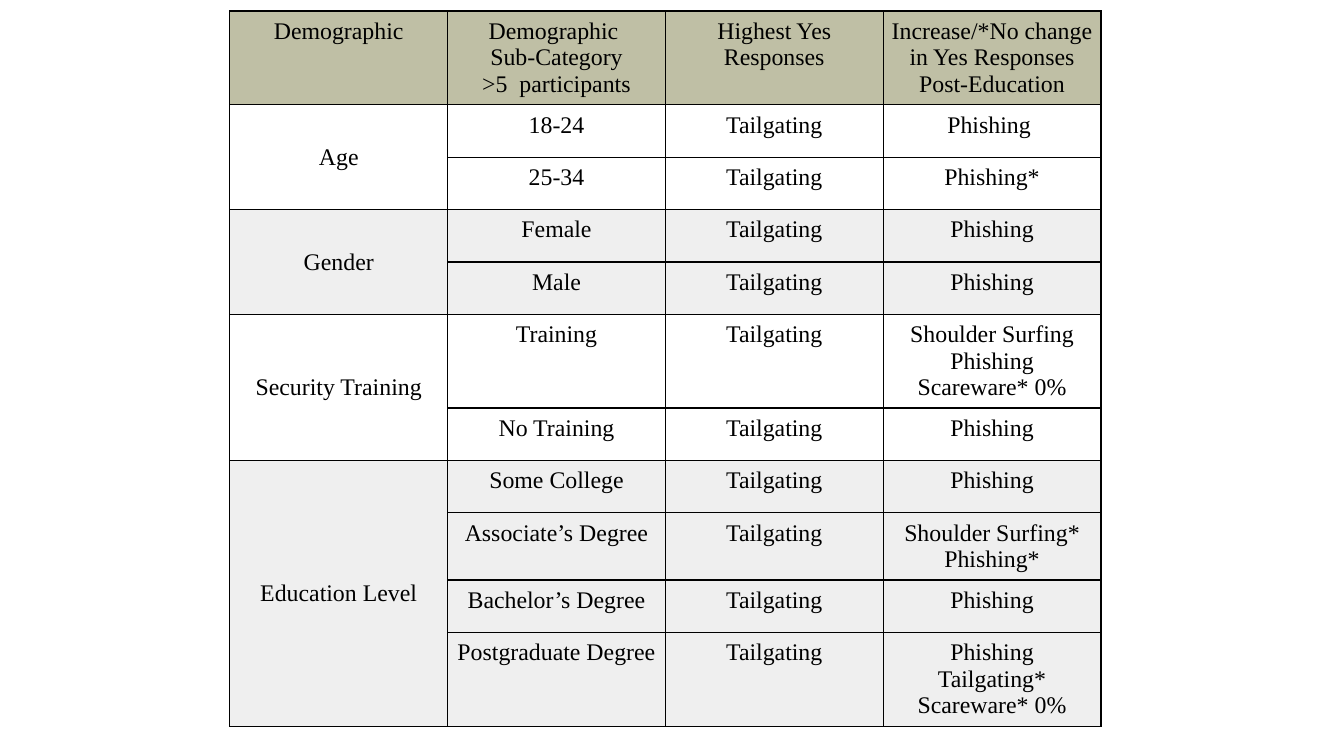
from lxml.etree import SubElement
from pptx import Presentation
from pptx.dml.color import RGBColor
from pptx.enum.text import MSO_ANCHOR, PP_ALIGN
from pptx.oxml.ns import qn
from pptx.util import Pt

PX = 9144  # EMU in one px, 100 px to the inch
BLACK = RGBColor(0x00, 0x00, 0x00)
WHITE = RGBColor(0xFF, 0xFF, 0xFF)
SAGE = RGBColor(0xBF, 0xBF, 0xA5)
GREY = RGBColor(0xEF, 0xEF, 0xEF)

LEFT, TOP = 228, 11
COLUMN_WIDTH, ROW_HEIGHT = 216, 52

HEADINGS = [
    "Demographic",
    "Demographic \nSub-Category\n>5  participants",
    "Highest Yes Responses",
    "Increase/*No change in Yes Responses Post-Education",
]
HIGHEST = "Tailgating"
GROUPS = [
    ("Age", [("18-24", "Phishing "), ("25-34", "Phishing*")]),
    ("Gender", [("Female", "Phishing"), ("Male", "Phishing")]),
    ("Security Training", [
        ("Training", "Shoulder Surfing\nPhishing\nScareware* 0%"),
        ("No Training", "Phishing"),
    ]),
    ("Education Level", [
        ("Some College", "Phishing"),
        ("Associate’s Degree", "Shoulder Surfing*\nPhishing*"),
        ("Bachelor’s Degree", "Phishing"),
        ("Postgraduate Degree", "Phishing\nTailgating*\nScareware* 0%"),
    ]),
]


class SlideBuilder:
    font = "Times New Roman"
    size = Pt(17)
    inset = 7 * PX
    border = Pt(1)

    def __init__(self, deck):
        self.slide = deck.slides.add_slide(deck.slide_layouts[6])

    def table(self, left, top, row_count, column_count):
        frame = self.slide.shapes.add_table(
            row_count, column_count, left * PX, top * PX,
            column_count * COLUMN_WIDTH * PX, row_count * ROW_HEIGHT * PX)
        table = frame.table
        table.first_row = table.horz_banding = False
        for column in table.columns:
            column.width = COLUMN_WIDTH * PX
        for row in table.rows:
            row.height = ROW_HEIGHT * PX
        return table

    def cell(self, cell, text, fill, anchor=MSO_ANCHOR.TOP):
        cell.margin_left = cell.margin_right = self.inset
        cell.margin_top = cell.margin_bottom = self.inset
        cell.vertical_anchor = anchor
        self.cell_borders(cell)
        cell.fill.solid()
        cell.fill.fore_color.rgb = fill
        cell.text_frame.text = text
        for para in cell.text_frame.paragraphs:
            para.alignment = PP_ALIGN.CENTER
            para.font.name = self.font
            para.font.size = self.size
            for span in para.runs:
                span.font.name = self.font
                span.font.size = self.size
                span.font.color.rgb = BLACK

    def cell_borders(self, cell):
        properties = cell._tc.get_or_add_tcPr()
        for side in ("a:lnL", "a:lnR", "a:lnT", "a:lnB"):
            line = SubElement(properties, qn(side), w=str(self.border))
            solid = SubElement(line, qn("a:solidFill"))
            SubElement(solid, qn("a:srgbClr"), val=str(BLACK))


def main():
    deck = Presentation()
    deck.slide_width = 1333 * PX
    deck.slide_height = 750 * PX
    builder = SlideBuilder(deck)

    row_count = 1 + sum(len(entries) for _, entries in GROUPS)
    table = builder.table(LEFT, TOP, row_count, len(HEADINGS))
    for column, heading in enumerate(HEADINGS):
        builder.cell(table.cell(0, column), heading, SAGE)

    row = 1
    for index, (demographic, entries) in enumerate(GROUPS):
        fill = GREY if index % 2 else WHITE
        first = table.cell(row, 0)
        for offset, (category, increase) in enumerate(entries):
            label = "" if offset else demographic
            builder.cell(table.cell(row, 0), label, fill, MSO_ANCHOR.MIDDLE)
            for column, text in enumerate((category, HIGHEST, increase), 1):
                builder.cell(table.cell(row, column), text, fill)
            row += 1
        first.merge(table.cell(row - 1, 0))

    deck.save("out.pptx")


if __name__ == "__main__":
    main()
